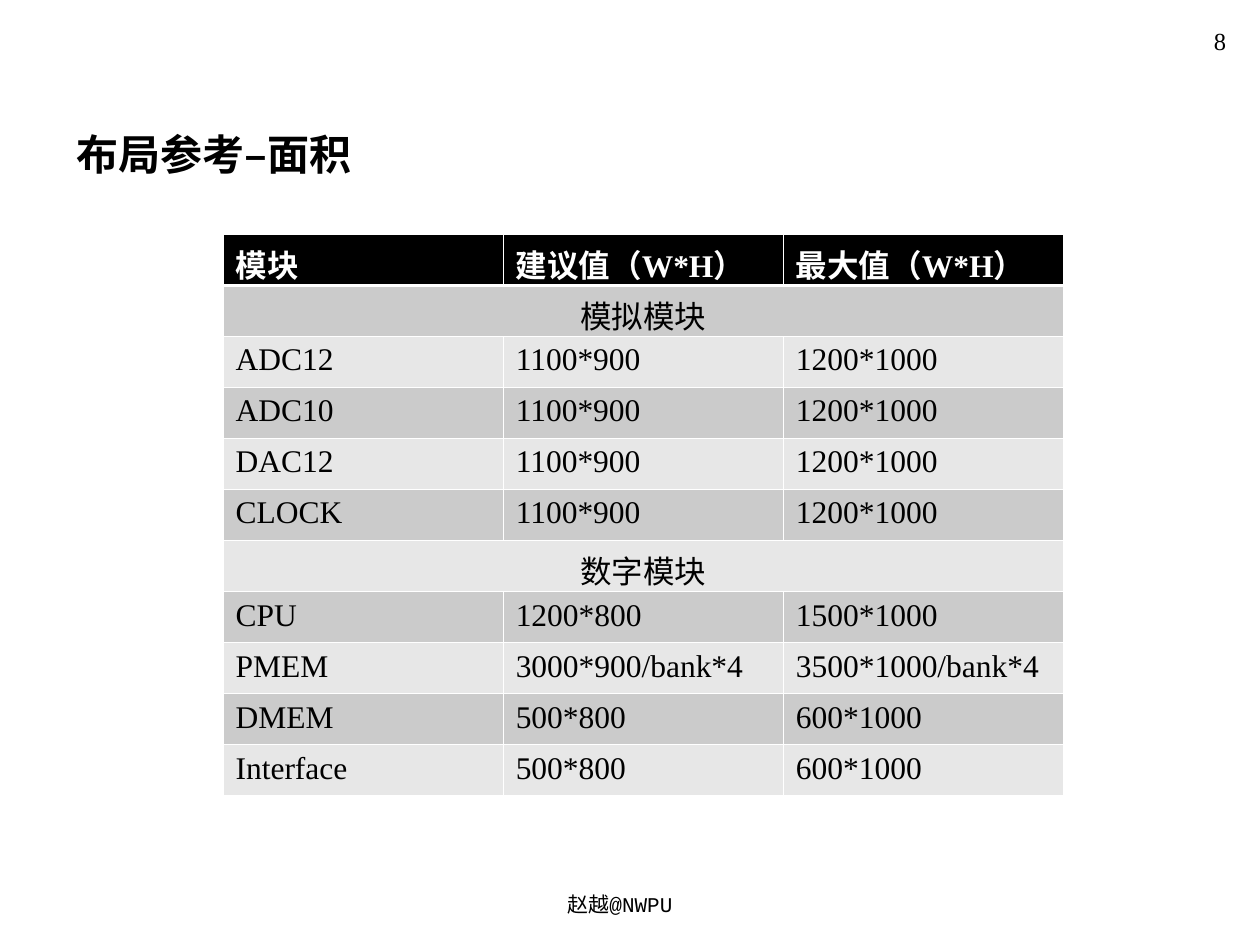
from lxml.etree import SubElement
from pptx import Presentation
from pptx.dml.color import RGBColor
from pptx.enum.text import MSO_ANCHOR, PP_ALIGN
from pptx.oxml.ns import qn
from pptx.util import Inches, Pt

BLACK = RGBColor(0x00, 0x00, 0x00)
WHITE = RGBColor(0xFF, 0xFF, 0xFF)
DARK_BAND = RGBColor(0xCB, 0xCB, 0xCB)
LIGHT_BAND = RGBColor(0xE7, 0xE7, 0xE7)
SERIF = "Times New Roman"
MONO = "Courier New"
CHINESE = "Noto Sans CJK SC"

ANALOG_SIZES = ("1100*900", "1200*1000")
MEMORY_SIZES = ("500*800", "600*1000")
AREA_ROWS = [
    ("模块", "建议值（W*H）", "最大值（W*H）"),
    ("模拟模块",),
    *[(name, *ANALOG_SIZES) for name in ("ADC12", "ADC10", "DAC12", "CLOCK")],
    ("数字模块",),
    ("CPU", "1200*800", "1500*1000"),
    ("PMEM", "3000*900/bank*4", "3500*1000/bank*4"),
    *[(name, *MEMORY_SIZES) for name in ("DMEM", "Interface")],
]


def write_text(frame, text, size, font, color=BLACK, bold=False, align=PP_ALIGN.LEFT):
    """Fill a text frame with one formatted paragraph."""
    frame.text = text
    para = frame.paragraphs[0]
    para.alignment = align
    span = para.runs[0]
    span.font.size = Pt(size)
    span.font.name = font
    span.font.bold = bold
    span.font.color.rgb = color
    SubElement(span.font._element, qn("a:ea"), typeface=CHINESE)


def add_label(page, box, text, size, font, anchor=MSO_ANCHOR.TOP, **style):
    """Place a wrapped line of text in the given box."""
    frame = page.shapes.add_textbox(*map(Inches, box)).text_frame
    frame.word_wrap = True
    frame.vertical_anchor = anchor
    write_text(frame, text, size, font, **style)


def set_borders(cell, widths):
    """Draw white cell borders with a width in points for each side."""
    properties = cell._tc.get_or_add_tcPr()
    for side, width in widths.items():
        line = SubElement(properties, qn(f"a:ln{side}"), w=str(Pt(width)))
        fill = SubElement(line, qn("a:solidFill"))
        SubElement(fill, qn("a:srgbClr"), val=str(WHITE))


def add_area_table(page, box, rows):
    """Place the banded area table, merging the rows that hold a single heading."""
    left, top, width, height = map(Inches, box)
    column_count = len(rows[0])
    table = page.shapes.add_table(
        len(rows), column_count, left, top, width, height
    ).table
    for index, values in enumerate(rows):
        header = index == 0
        section = len(values) == 1
        band = BLACK if header else DARK_BAND if index % 2 else LIGHT_BAND
        widths = {
            "L": 0.45,
            "R": 0.45,
            "T": 1.47 if index == 1 else 0.45,
            "B": 1.47 if header else 0.45,
        }
        for column in range(column_count):
            cell = table.cell(index, column)
            set_borders(cell, widths)
            cell.fill.solid()
            cell.fill.fore_color.rgb = band
        if section:
            table.cell(index, 0).merge(table.cell(index, column_count - 1))
        for column, value in enumerate(values):
            write_text(
                table.cell(index, column).text_frame,
                value,
                18,
                SERIF,
                color=WHITE if header else BLACK,
                bold=header,
                align=PP_ALIGN.CENTER if section else PP_ALIGN.LEFT,
            )


def main():
    """Build the layout area slide and save it."""
    deck = Presentation()
    deck.slide_width = Inches(10)
    deck.slide_height = Inches(7.5)
    page = deck.slides.add_slide(deck.slide_layouts[6])
    add_label(page, (2.42, 7.03, 5, 0.3), "赵越@NWPU", 12, MONO, align=PP_ALIGN.CENTER)
    add_label(page, (8.91, 0.16, 0.92, 0.44), "8", 14, SERIF, align=PP_ALIGN.RIGHT)
    add_label(
        page,
        (0.51, 0.84, 8.9, 0.63),
        "布局参考–面积",
        24,
        CHINESE,
        anchor=MSO_ANCHOR.BOTTOM,
        bold=True,
    )
    add_area_table(page, (1.77, 1.86, 6.67, 4.46), AREA_ROWS)
    deck.save("out.pptx")


if __name__ == "__main__":
    main()
